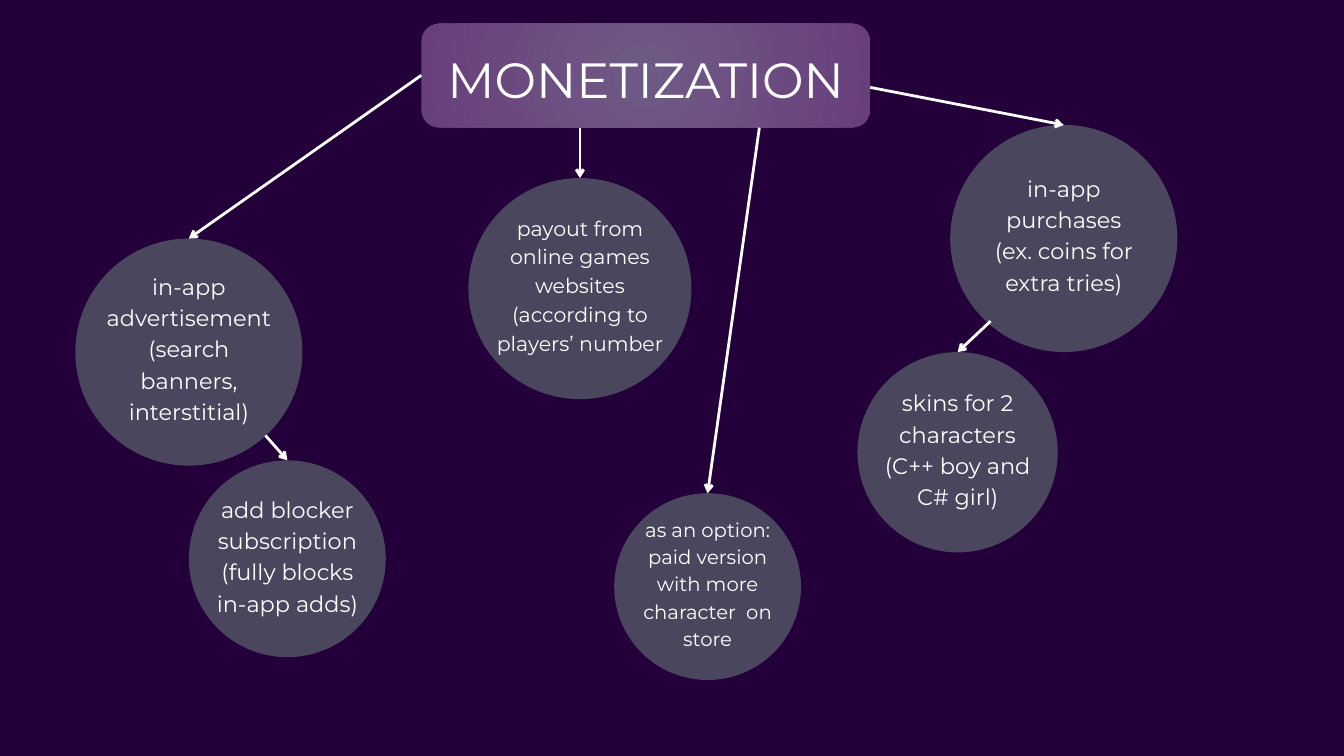
"""Build a slide mapping the ways a game can earn money."""
from lxml import etree
from pptx import Presentation
from pptx.dml import color
from pptx.enum import shapes, text
from pptx.oxml import ns
from pptx import util as u

WIDTH, HEIGHT = u.Inches(20), u.Inches(11.25)
FONT, WHITE, BACKGROUND, CIRCLE = "Montserrat", "FFFFFF", "230039", "49465E"
GRADIENT = ("6F5A86", "683F7B")

TITLE = "MONETIZATION"
BANNER_AREA = (31.35, 3.11, 33.4, 13.78)
TITLE_AREA = (32.85, 5.78, 30.4, 8.18)

# All places are percentages of the slide's width and height.
IDEAS = [
    {"lines": ["in-app advertisement", "(search banners, interstitial)"],
     "center": 14.05, "top": 31.56, "size": (16.9, 30.04), "points": 24, "source": (31.35, 9.96)},
    {"lines": ["in-app purchases", "(ex. coins for extra tries)"],
     "center": 79.15, "top": 16.53, "size": (16.9, 30.04), "points": 24, "source": (64.75, 11.56)},
    {"lines": ["add blocker subscription", "(fully blocks in-app adds)"],
     "center": 21.38, "top": 60.89, "size": (14.65, 26.04), "points": 24, "source": (19.75, 57.6)},
    {"lines": ["skins for 2 characters (C++ boy and C# girl)"],
     "center": 71.25, "top": 46.58, "size": (14.9, 26.49), "points": 24, "source": (73.7, 42.49)},
    {"lines": ["payout from online games websites (according to players’ number"],
     "center": 43.15, "top": 23.56, "size": (16.6, 29.24), "points": 22, "source": (43.15, 16.89)},
    {"lines": ["as an option: paid version with more character  on store"],
     "center": 52.65, "top": 65.24, "size": (13.9, 24.71), "points": 21, "source": (56.5, 16.89)},
]


def rgb(value):
    return color.RGBColor.from_string(value)


def across(share):
    return round(WIDTH * share / 100)


def down(share):
    return round(HEIGHT * share / 100)


def area(left, top, width, height):
    return across(left), down(top), across(width), down(height)


def add_plain_shape(slide, kind, place):
    shape = slide.shapes.add_shape(kind, *area(*place))
    shape.shadow.inherit = False
    shape.line.fill.background()
    return shape


def write(shape, lines, points, spacing, margin, anchor):
    frame = shape.text_frame
    settings = {"word_wrap": True, "auto_size": text.MSO_AUTO_SIZE.NONE, "vertical_anchor": anchor}
    settings.update({f"margin_{side}": margin for side in ("left", "top", "right", "bottom")})
    for name, value in settings.items():
        setattr(frame, name, value)
    frame.text = "\n".join(lines)
    for paragraph in frame.paragraphs:
        paragraph_format = {"alignment": text.PP_ALIGN.CENTER, "line_spacing": u.Pt(spacing),
                            "space_before": u.Pt(0), "space_after": u.Pt(0)}
        for name, value in paragraph_format.items():
            setattr(paragraph, name, value)
        font = paragraph.runs[0].font
        font.name, font.size = FONT, u.Pt(points)
        font.color.rgb = rgb(WHITE)


def add_idea(slide, idea):
    width, height = idea["size"]
    left, top = idea["center"] - width / 2, idea["top"]
    circle = add_plain_shape(slide, shapes.MSO_SHAPE.OVAL, (left, top, width, height))
    circle.fill.solid()
    circle.fill.fore_color.rgb = rgb(CIRCLE)
    label = slide.shapes.add_textbox(*area(
        left + width * 0.094, top + height * 0.047, width * 0.812, height * 0.858))
    write(label, idea["lines"], idea["points"], idea["points"] * 1.4, u.Inches(0.06),
          text.MSO_ANCHOR.MIDDLE)


def add_banner(slide):
    banner = add_plain_shape(slide, shapes.MSO_SHAPE.ROUNDED_RECTANGLE, BANNER_AREA)
    banner.adjustments[0] = 0.17
    banner.fill.gradient()
    for stop, value, position in zip(banner.fill.gradient_stops, GRADIENT, (0, 1)):
        stop.color.rgb = rgb(value)
        stop.position = position
    gradient = banner.element.spPr.find(ns.qn("a:gradFill"))
    gradient.remove(gradient.find(ns.qn("a:lin")))
    circular = etree.SubElement(gradient, ns.qn("a:path"), path="circle")
    etree.SubElement(circular, ns.qn("a:fillToRect"),
                     {side: "50000" for side in "ltrb"})


def add_arrow(slide, source, target):
    arrow = slide.shapes.add_connector(
        shapes.MSO_CONNECTOR.STRAIGHT,
        across(source[0]), down(source[1]), across(target[0]), down(target[1]))
    arrow.line.width = u.Pt(3)
    arrow.line.color.rgb = rgb(WHITE)
    etree.SubElement(arrow.line._get_or_add_ln(), ns.qn("a:tailEnd"), type="arrow")
    etree.SubElement(arrow.element.spPr, ns.qn("a:effectLst"))


def place_title(slide):
    title = slide.shapes.title
    for name, value in zip(("left", "top", "width", "height"), area(*TITLE_AREA)):
        setattr(title, name, value)
    write(title, [TITLE], 53, 68.9, 0, text.MSO_ANCHOR.TOP)
    title.element.getparent().append(title.element)


def main():
    presentation = Presentation()
    presentation.slide_width, presentation.slide_height = WIDTH, HEIGHT
    slide = presentation.slides.add_slide(presentation.slide_layouts.get_by_name("Title Only"))
    slide.background.fill.solid()
    slide.background.fill.fore_color.rgb = rgb(BACKGROUND)
    add_banner(slide)
    for idea in IDEAS:
        add_idea(slide, idea)
    for idea in IDEAS:
        add_arrow(slide, idea["source"], (idea["center"], idea["top"]))
    place_title(slide)
    presentation.save("out.pptx")


if __name__ == "__main__":
    main()
